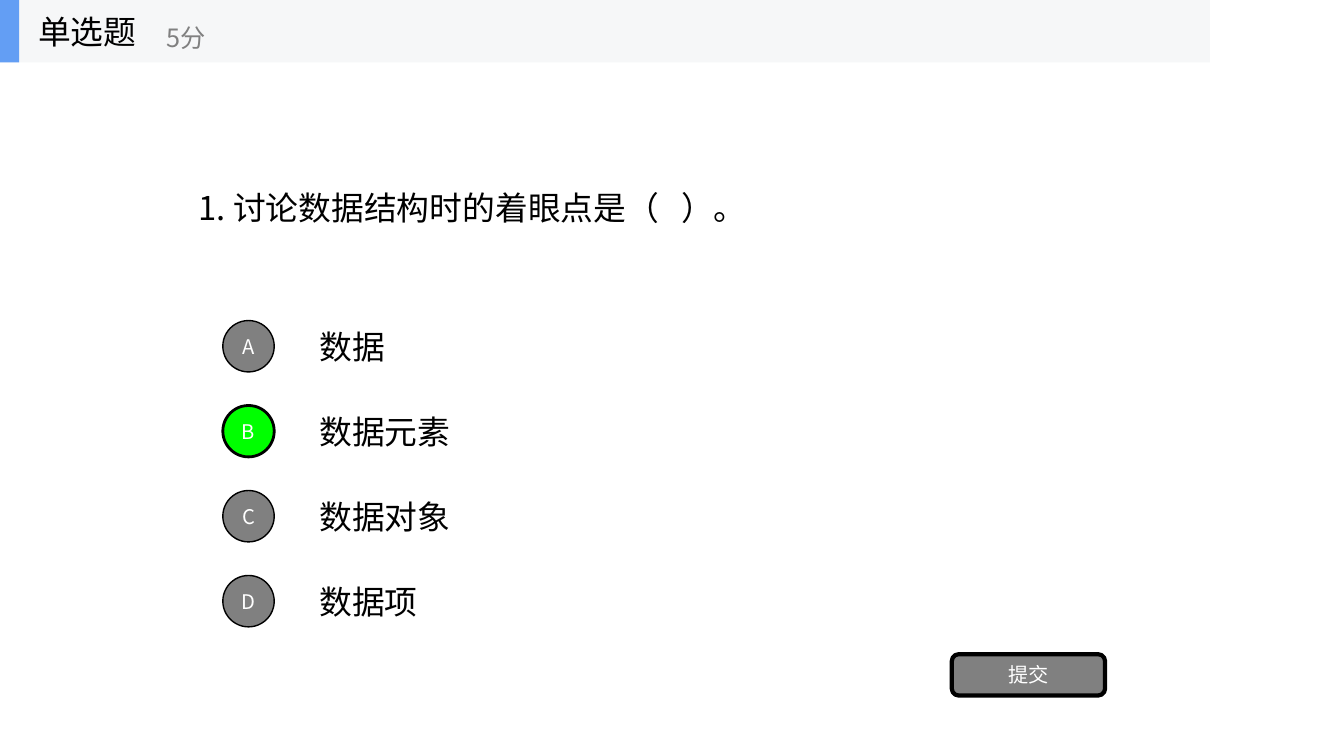
from dataclasses import dataclass

from lxml import etree
from pptx import Presentation
from pptx.dml.color import RGBColor
from pptx.enum.shapes import MSO_SHAPE
from pptx.enum.text import MSO_ANCHOR, PP_ALIGN
from pptx.oxml.ns import qn
from pptx.util import Inches, Pt

RECT = MSO_SHAPE.RECTANGLE
ROUND = MSO_SHAPE.ROUNDED_RECTANGLE
OVAL = MSO_SHAPE.OVAL
MIDDLE = MSO_ANCHOR.MIDDLE
LEFT = PP_ALIGN.LEFT
CENTER = PP_ALIGN.CENTER


@dataclass(frozen=True)
class Theme:
    font: str = "Noto Sans CJK SC"
    black: str = "000000"
    white: str = "FFFFFF"
    gray: str = "808080"
    green: str = "00FF00"
    blue: str = "639EF4"
    band: str = "F6F7F8"
    body: float = 23.4
    score: float = 18
    label: float = 14.4


THEME = Theme()
CHOICES = ["数据", "数据元素", "数据对象", "数据项"]
ANSWER = 1
TOP = 3.12
STEP = 0.843


def place(*box):
    return [Inches(side) for side in box]


def write(frame, text, size=THEME.body, color=THEME.black, align=LEFT, inset=0.1):
    frame.word_wrap = True
    frame.vertical_anchor = MIDDLE
    frame.margin_left = frame.margin_right = Inches(inset)
    frame.margin_top = frame.margin_bottom = Inches(inset / 2)
    para = frame.paragraphs[0]
    para.alignment = align
    run = para.add_run()
    run.text = text
    run.font.size = Pt(size)
    run.font.name = THEME.font
    run.font.color.rgb = RGBColor.from_string(color)
    east = etree.SubElement(run.font._element, qn("a:ea"))
    east.set("typeface", THEME.font)


def add_text(slide, box, text, **style):
    write(slide.shapes.add_textbox(*place(*box)).text_frame, text, **style)


def add_block(slide, kind, box, fill, width=0):
    shape = slide.shapes.add_shape(kind, *place(*box))
    shape.shadow.inherit = False
    shape.fill.solid()
    shape.fill.fore_color.rgb = RGBColor.from_string(fill)
    if width:
        shape.line.color.rgb = RGBColor.from_string(THEME.black)
        shape.line.width = Pt(width)
    else:
        shape.line.fill.background()
    return shape


def add_button(slide, kind, box, text, fill=THEME.gray, width=1):
    shape = add_block(slide, kind, box, fill, width)
    write(shape.text_frame, text, size=THEME.label, color=THEME.white,
          align=CENTER, inset=0)


def add_choice(slide, index, text):
    top = TOP + index * STEP
    right = index == ANSWER
    add_text(slide, (3.07, top, 8.4, 0.63), text)
    add_button(slide, OVAL, (2.21, top + 0.06, 0.51, 0.51), "ABCD"[index],
               fill=THEME.green if right else THEME.gray,
               width=2 if right else 1)


def add_header(slide):
    add_block(slide, RECT, (0, 0, 12, 0.62), THEME.band)
    add_block(slide, RECT, (0, 0, 0.19, 0.62), THEME.blue)
    add_text(slide, (0.28, 0, 1.88, 0.62), "单选题")
    add_text(slide, (1.55, 0.12, 2.25, 0.5), "5分",
             size=THEME.score, color=THEME.gray)


def main():
    deck = Presentation()
    deck.slide_width, deck.slide_height = place(13.33, 7.5)
    slide = deck.slides.add_slide(deck.slide_layouts[6])
    add_text(slide, (1.87, 1, 9.6, 2.11), "1. 讨论数据结构时的着眼点是（   ）。")
    for index, text in enumerate(CHOICES):
        add_choice(slide, index, text)
    add_button(slide, ROUND, (9.44, 6.49, 1.52, 0.41), "提交", width=3)
    add_header(slide)
    deck.save("out.pptx")


if __name__ == "__main__":
    main()
